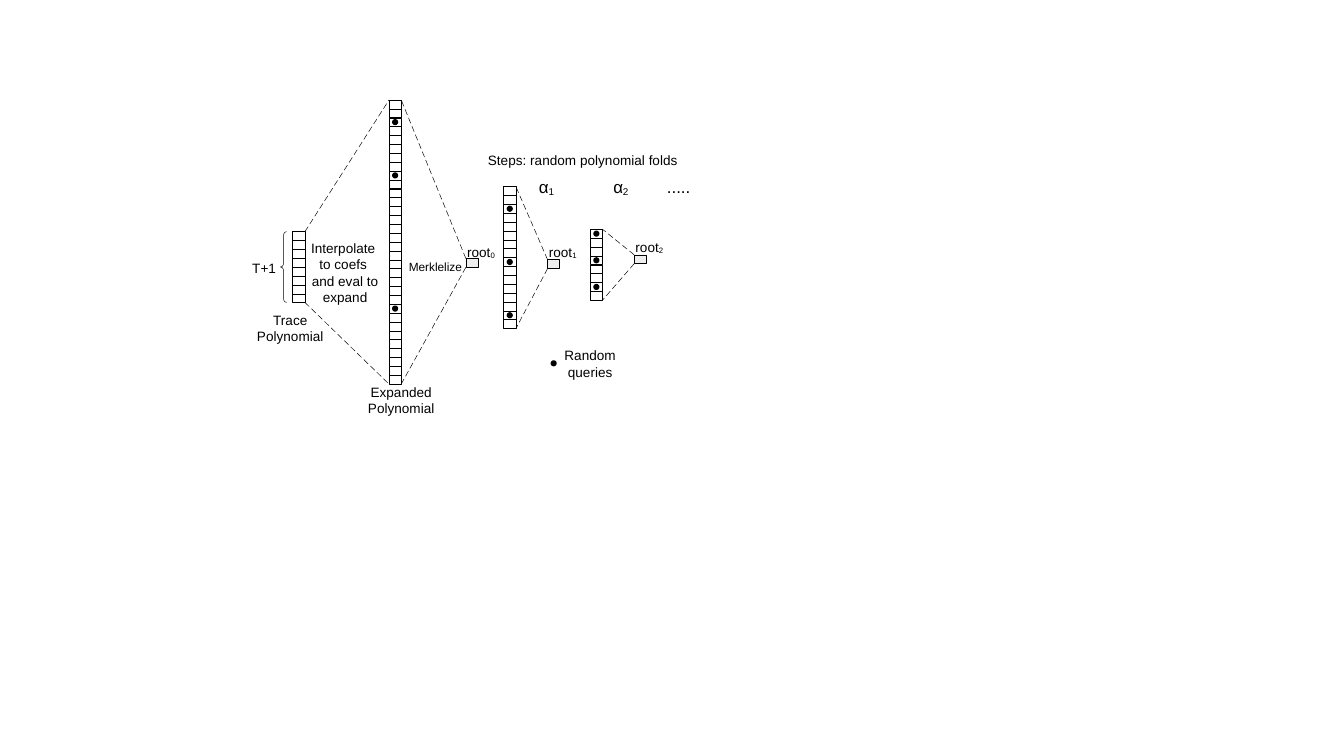
from lxml import etree
from pptx import Presentation
from pptx.dml.color import RGBColor
from pptx.enum import shapes, text
from pptx.oxml.ns import qn
from pptx.util import Inches, Pt

COLORS = {"ink": "000000", "root": "EEEEEE"}
INK = RGBColor.from_string(COLORS["ink"])
CELL_WIDTH = 0.1
CELL_HEIGHT = 2.33 / 32
DOT = 0.04
HAIRLINE = 0.28

deck = Presentation()
deck.slide_width, deck.slide_height = Inches(11.02), Inches(6.2)
page = deck.slides.add_slide(deck.slide_layouts[6])


def add_outline(kind, left, top, width, height, fill=None, weight=HAIRLINE):
    shape = page.shapes.add_shape(
        kind, Inches(left), Inches(top), Inches(width), Inches(height))
    shape.shadow.inherit = False
    if fill:
        shape.fill.solid()
        shape.fill.fore_color.rgb = RGBColor.from_string(COLORS[fill])
    else:
        shape.fill.background()
    shape.line.color.rgb = INK
    shape.line.width = Pt(weight)
    return shape


def add_label(words, left, top, width, height, size=8, align="CENTER",
              wrap=False, tabs=()):
    """Write one paragraph per line; the character after "_" is a subscript."""
    box = page.shapes.add_textbox(
        Inches(left), Inches(top), Inches(width), Inches(height))
    frame = box.text_frame
    frame.word_wrap = wrap
    frame.auto_size = text.MSO_AUTO_SIZE.SHAPE_TO_FIT_TEXT
    for number, line in enumerate(words.split("\n")):
        para = frame.add_paragraph() if number else frame.paragraphs[0]
        para.alignment = text.PP_ALIGN[align]
        if tabs:
            stops = etree.SubElement(para._p.get_or_add_pPr(), qn("a:tabLst"))
            for stop in tabs:
                etree.SubElement(stops, qn("a:tab"), pos=str(Inches(stop)), algn="l")
        first, *others = line.split("_")
        pieces = [(first, False)]
        for other in others:
            pieces += [(other[0], True), (other[1:], False)]
        for piece, lowered in pieces:
            if not piece:
                continue
            span = para.add_run()
            span.text = piece
            span.font.name = "Arial"
            span.font.size = Pt(size)
            span.font.color.rgb = INK
            if lowered:
                span.font._element.set("baseline", "-8000")


# Polynomials as columns: left, top, number of cells, queried cells
columns = [
    (2.4, 1.9, 8, []),
    (3.19, 0.82, 32, [2, 8, 23]),
    (4.13, 1.53, 16, [2, 8, 14]),
    (4.84, 1.88, 8, [0, 3, 6]),
]
dots = [(4.52, 2.96)]  # the legend's dot
for left, top, count, queries in columns:
    for row in range(count):
        add_outline(shapes.MSO_SHAPE.RECTANGLE, left, top + row * CELL_HEIGHT,
                    CELL_WIDTH, CELL_HEIGHT)
    for row in queries:
        dots.append((left + (CELL_WIDTH - DOT) / 2,
                     top + row * CELL_HEIGHT + (CELL_HEIGHT - DOT) / 2))
for left, top in dots:
    add_outline(shapes.MSO_SHAPE.OVAL, left, top, DOT, DOT, fill="ink", weight=0)

brace = add_outline(shapes.MSO_SHAPE.LEFT_BRACE, 2.3, 1.9, 0.05, 0.58)
brace.adjustments[0] = 0.6

# Dashed lines: the trace expands, then each later column shrinks to its root
rays = [(2.5, 1.9, 3.19, 0.82), (2.5, 2.48, 3.19, 3.15)]
roots = [(3.82, 2.12), (4.49, 2.13), (5.2, 2.09)]
for (left, top, count, _), (root_left, root_top) in zip(columns[1:], roots):
    add_outline(shapes.MSO_SHAPE.RECTANGLE, root_left, root_top,
                CELL_WIDTH, CELL_HEIGHT, fill="root")
    right = left + CELL_WIDTH
    rays += [
        (root_left, root_top, right, top),
        (root_left, root_top + CELL_HEIGHT, right, top + count * CELL_HEIGHT),
    ]
for ray in rays:
    connector = page.shapes.add_connector(
        shapes.MSO_CONNECTOR.STRAIGHT, *[Inches(value) for value in ray])
    connector.line.color.rgb = INK
    connector.line.width = Pt(HAIRLINE)
    dashes = etree.SubElement(connector.line._get_or_add_ln(), qn("a:custDash"))
    etree.SubElement(dashes, qn("a:ds"), d="1250000", sp="650000")
    etree.SubElement(connector._element.spPr, qn("a:effectLst"))

add_label("T+1", 1.97, 2.08, 0.43, 0.22, align="LEFT")
add_label("Trace\nPolynomial", 1.99, 2.51, 0.78, 0.35)
add_label("Expanded\nPolynomial", 2.9, 3.1, 0.78, 0.35)
add_label("Interpolate \nto coefs \nand eval to\nexpand", 2.43, 1.92, 0.8, 0.6)
add_label("Merklelize", 3.2, 2.08, 0.74, 0.22, size=7)
add_label("Random\nqueries", 4.51, 2.8, 0.66, 0.35)
for number, (left, top) in enumerate([(3.71, 1.95), (4.38, 1.95), (5.09, 1.91)]):
    add_label(f"root_{number}", left, top, 0.47, 0.22)
add_label("Steps: random polynomial folds", 3.88, 1.2, 1.8, 0.22)
add_label("α_1\tα_2\t.....", 4.32, 1.4, 1.58, 0.25, size=10, align="LEFT",
          wrap=True, tabs=(0.61, 1.05))

deck.save("out.pptx")
